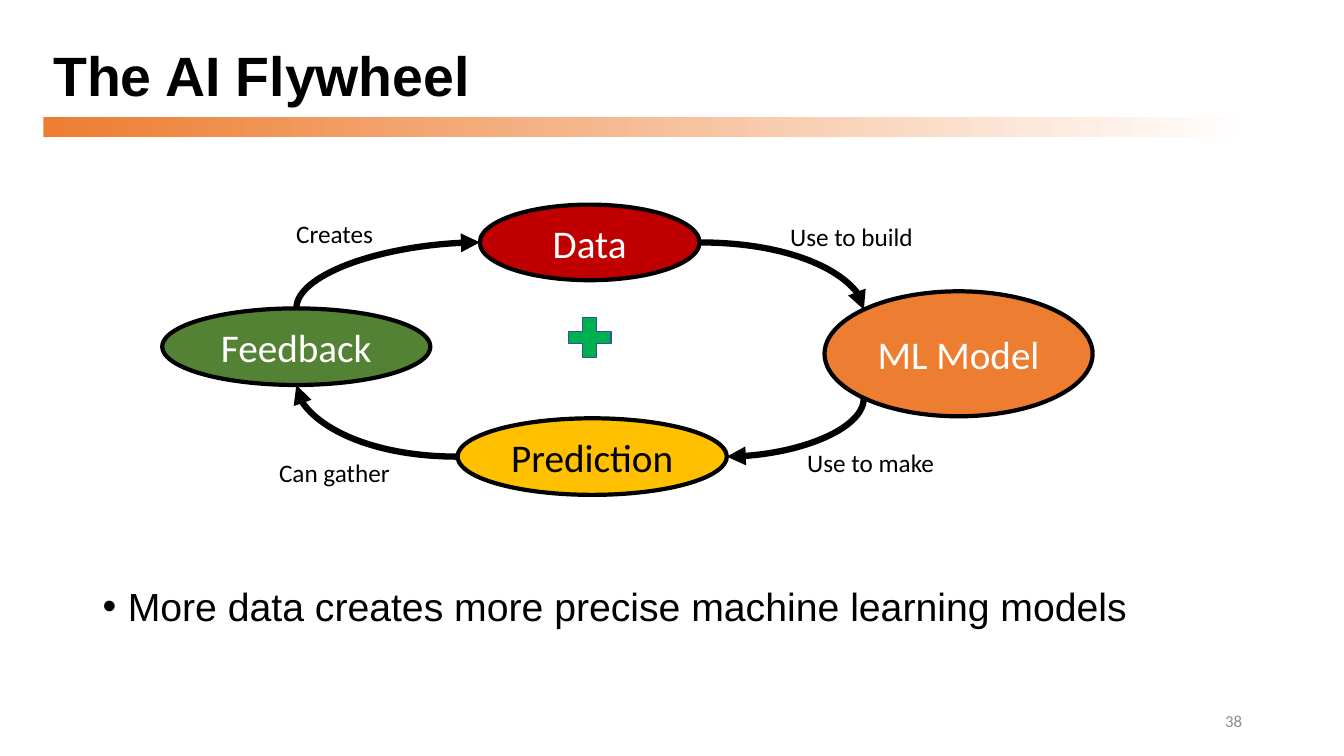
import math

import pptx
import pptx.dml.color
import pptx.enum.shapes
import pptx.enum.text
import pptx.oxml
import pptx.oxml.ns
import pptx.util

COLORS = {
    "black": "000000", "white": "FFFFFF", "orange": "ED7D31", "red": "C00000",
    "yellow": "FFC000", "green": "548235", "plus": "00B050",
    "plus_line": "325491", "grey": "8C8C8C",
}
CELL = 0.1
NODES = {
    "Data": (31.5, 0, 21.8, 7.5, "red", "white"),
    "ML Model": (65.7, 8.6, 26.6, 12.4, "orange", "white"),
    "Prediction": (29.3, 21.2, 26.7, 7.6, "yellow", "black"),
    "Feedback": (0, 10.3, 26.6, 7.6, "green", "white"),
}
ARROWS = [
    ("Data", 0, "ML Model", 225, 0),
    ("ML Model", 135, "Prediction", 0, 1),
    ("Prediction", 180, "Feedback", 90, 2),
    ("Feedback", 270, "Data", 180, 1),
]
LABELS = [
    ("Use to build", 61.3, 1.2, 14.3),
    ("Use to make", 63, 23.6, 14.7),
    ("Can gather", 10.6, 24.6, 13.1),
    ("Creates", 12.3, 0.9, 9.7),
]
SHAPE = pptx.enum.shapes.MSO_SHAPE
ALIGN = pptx.enum.text.PP_ALIGN
ANCHOR = pptx.enum.text.MSO_ANCHOR


def cells(*counts):
    """Turn counts of grid cells into lengths."""
    return [pptx.util.Inches(n * CELL) for n in counts]


def rgb(name):
    """Look up a colour by name."""
    return pptx.dml.color.RGBColor.from_string(COLORS[name])


def write(s, text, size, color="black", font="Calibri", align=ALIGN.LEFT,
          anchor=ANCHOR.MIDDLE, wrap=True):
    """Set one formatted paragraph in a shape and return it."""
    tf = s.text_frame
    tf.text = text
    tf.word_wrap = wrap
    tf.vertical_anchor = anchor
    p = tf.paragraphs[0]
    p.alignment = align
    r = p.runs[0]
    r.font.name = font
    r.font.size = pptx.util.Pt(size)
    r.font.color.rgb = rgb(color)
    return p


def add_filled(sp, kind, box, fill, line, width):
    """Add a flat filled shape with an outline."""
    s = sp.add_shape(kind, *cells(*box))
    s.shadow.inherit = False
    s.fill.solid()
    s.fill.fore_color.rgb = rgb(fill)
    s.line.color.rgb = rgb(line)
    s.line.width = pptx.util.Pt(width)
    return s


def rim(box, degrees):
    """Return the point of an ellipse's outline at a clockwise angle."""
    x, y, w, h = box
    a = math.radians(degrees)
    return x + w / 2 * (1 + math.cos(a)), y + h / 2 * (1 + math.sin(a))


def add_arrow(sp, start, end, turns):
    """Add a quarter-curve arrow rotated by a number of right angles."""
    dx, dy = end[0] - start[0], end[1] - start[1]
    cx, cy = start[0] + dx / 2, start[1] + dy / 2
    for _ in range(turns):
        dx, dy = dy, -dx
    ends = cells(cx - dx / 2, cy - dy / 2, cx + dx / 2, cy + dy / 2)
    s = sp.add_connector(pptx.enum.shapes.MSO_CONNECTOR.CURVE, *ends)
    s.line.color.rgb = rgb("black")
    s.line.width = pptx.util.Pt(4.5)
    sp_pr = s._element.spPr
    sp_pr.find(pptx.oxml.ns.qn("a:prstGeom")).set("prst", "curvedConnector2")
    sp_pr.find(pptx.oxml.ns.qn("a:xfrm")).set("rot", str(turns * 5400000))
    ns = pptx.oxml.ns.nsdecls("a")
    tail = pptx.oxml.parse_xml(f'<a:tailEnd {ns} type="triangle"/>')
    s.line._get_or_add_ln().append(tail)
    sp_pr.append(pptx.oxml.parse_xml(f"<a:effectLst {ns}/>"))


def add_header(sp, x, y, w, h):
    """Draw the title above its fading bar."""
    bar_height = 2
    bar = sp.add_shape(SHAPE.RECTANGLE, *cells(x, y + h - bar_height, w, bar_height))
    bar.shadow.inherit = False
    bar.line.fill.background()
    bar.fill.gradient()
    bar.fill.gradient_angle = 0
    for stop, color, position in zip(bar.fill.gradient_stops, ("orange", "white"), (0, 1)):
        stop.color.rgb = rgb(color)
        stop.position = position
    title = sp.add_textbox(*cells(x, y, w, h - bar_height))
    p = write(title, "The AI Flywheel", 39.6, font="Arial")
    p.line_spacing = 0.9
    p.runs[0].font.bold = True


def add_flywheel(sp, x, y):
    """Draw the cycle of nodes, arrows and labels from a top-left cell."""
    boxes = {}
    for name, (left, top, w, h, fill, color) in NODES.items():
        boxes[name] = (x + left, y + top, w, h)
        s = add_filled(sp, SHAPE.OVAL, boxes[name], fill, "black", 3)
        write(s, name, 28, color, align=ALIGN.CENTER)
    for source, leave, target, arrive, turns in ARROWS:
        add_arrow(sp, rim(boxes[source], leave), rim(boxes[target], arrive), turns)
    for text, left, top, w in LABELS:
        s = sp.add_textbox(*cells(x + left, y + top, w, 4))
        write(s, text, 18, anchor=ANCHOR.TOP, wrap=False)
        s.text_frame.auto_size = pptx.enum.text.MSO_AUTO_SIZE.SHAPE_TO_FIT_TEXT
    plus = add_filled(sp, SHAPE.CROSS, (x + 40.3, y + 11.2, 4.2, 4),
                      "plus", "plus_line", 1)
    plus.adjustments[0] = 0.35


def add_takeaway(sp, *box):
    """Write the bulleted conclusion."""
    s = sp.add_textbox(*cells(*box))
    p = write(s, "More data creates more precise machine learning models", 28,
              font="Arial", anchor=ANCHOR.TOP)
    p.line_spacing = 0.9
    p_pr = p._p.get_or_add_pPr()
    indent = pptx.util.Inches(0.25)
    p_pr.set("marL", str(indent))
    p_pr.set("indent", str(-indent))
    ns = pptx.oxml.ns.nsdecls("a")
    p_pr.append(pptx.oxml.parse_xml(f'<a:buFont {ns} typeface="Arial"/>'))
    p_pr.append(pptx.oxml.parse_xml(f'<a:buChar {ns} char="•"/>'))


def add_page_number(sp, *box):
    """Write the page number at the right of its box."""
    write(sp.add_textbox(*cells(*box)), "38", 12, "grey", align=ALIGN.RIGHT)


def main():
    """Build and save the slide."""
    prs = pptx.Presentation()
    prs.slide_width, prs.slide_height = cells(133.33, 75)
    sp = prs.slides.add_slide(prs.slide_layouts[6]).shapes
    add_header(sp, 4.3, 4, 119.8, 9.6)
    add_takeaway(sp, 9.2, 57.8, 115, 9.8)
    add_page_number(sp, 94.2, 69.5, 30, 4)
    add_flywheel(sp, 16.1, 20.3)
    prs.save("out.pptx")


if __name__ == "__main__":
    main()
